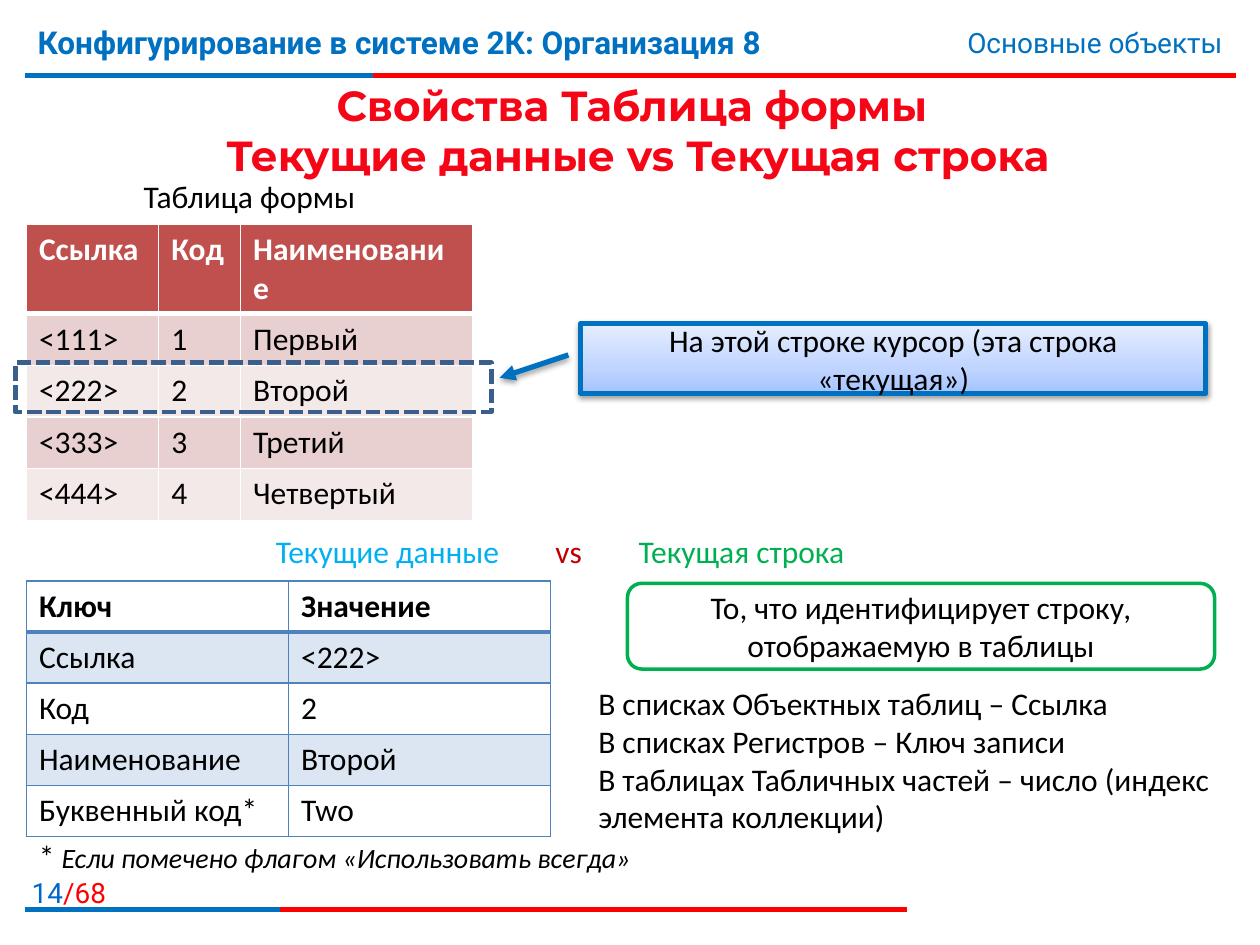
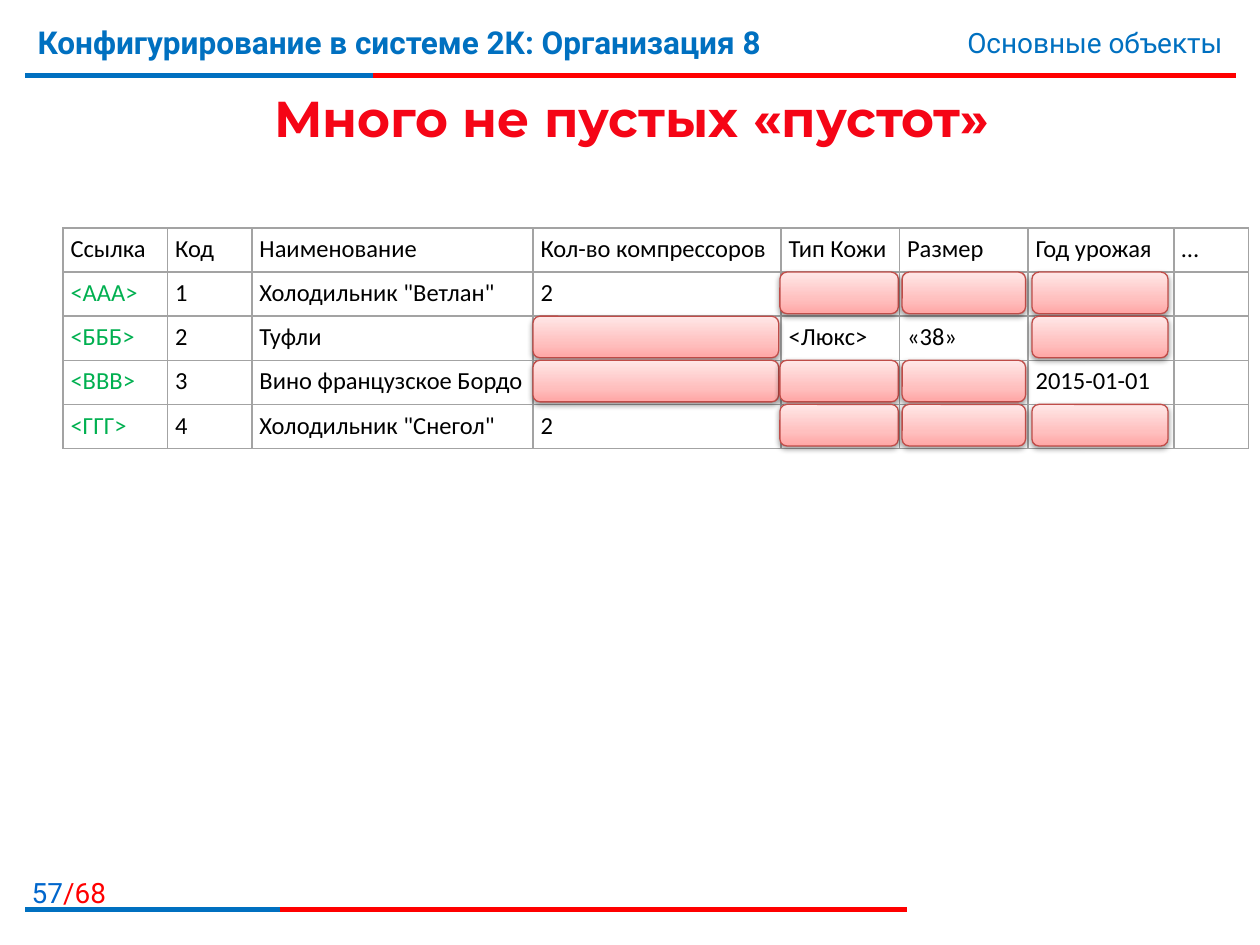
from dataclasses import dataclass
from itertools import product

from lxml.etree import SubElement
from pptx import Presentation
from pptx.dml.color import RGBColor
from pptx.enum.dml import MSO_LINE
from pptx.enum.shapes import MSO_CONNECTOR, MSO_SHAPE
from pptx.enum.text import MSO_ANCHOR as ANCHOR, PP_ALIGN as ALIGN
from pptx.oxml import parse_xml
from pptx.oxml.ns import nsdecls, qn
from pptx.util import Inches, Pt


@dataclass(frozen=True)
class Theme:
    body: str = "Calibri"
    head: str = "Montserrat"
    band: str = "Roboto"
    black: str = "000000"
    white: str = "FFFFFF"
    red: str = "FF0000"
    blue: str = "0070C0"
    number: str = "0066CC"
    title: str = "F50516"
    sky: str = "00B0F0"
    crimson: str = "C00000"
    green: str = "00B050"
    frame: str = "3A5F8C"
    grid: str = "A3A3A3"
    data_line: str = "4F81BD"
    data_band: str = "DCE6F2"
    form_head: str = "C0504D"
    form_bands: tuple = ("E8D0D0", "F4E9E9")
    callout: tuple = ((0, "A4C4FF"), (35, "BFD4FF"), (100, "E6EEFF"))
    gap: tuple = ((0, "FFA6A5"), (35, "FFC0BF"), (100, "FFE7E7"))
    gap_line: str = "BF4C48"
    text: float = 18
    small: float = 16
    cell: float = 14
    title_two_lines: float = 24
    title_one_line: float = 28.8


T = Theme()


def rgb(value):
    return RGBColor.from_string(value)


def inches(*values):
    return [Inches(v) for v in values]


def assign(obj, values):
    for name, value in values.items():
        setattr(obj, name, value)


def add_run(p, text, color=T.black, size=T.text, name=T.body, **style):
    for i, line in enumerate(text.split("\n")):
        if i:
            p.add_line_break()
        r = p.add_run()
        r.text = line
        assign(r.font, {"size": Pt(size), "name": name, **style})
        r.font.color.rgb = rgb(color)


def write(tf, paragraphs, align=ALIGN.LEFT, anchor=ANCHOR.TOP):
    assign(tf, {"word_wrap": True, "vertical_anchor": anchor})
    for i, runs in enumerate(paragraphs):
        p = tf.add_paragraph() if i else tf.paragraphs[0]
        p.alignment = align
        for text, style in runs:
            add_run(p, text, **style)


def add_text(s, box, paragraphs, **layout):
    sp = s.shapes.add_textbox(*inches(*box))
    write(sp.text_frame, paragraphs, **layout)
    return sp


def add_box(s, kind, box, line, width, fill=None):
    sp = s.shapes.add_shape(kind, *inches(*box))
    sp.shadow.inherit = False
    sp.line.color.rgb = rgb(line)
    sp.line.width = Pt(width)
    if fill:
        sp.fill.solid()
        sp.fill.fore_color.rgb = rgb(fill)
    else:
        sp.fill.background()
    return sp


def add_raised_box(s, kind, box, line, width, stops):
    sp = add_box(s, kind, box, line, width)
    pr = sp._element.spPr
    marks = "".join(
        f'<a:gs pos="{pos * 1000}"><a:srgbClr val="{color}"/></a:gs>'
        for pos, color in stops)
    pr.replace(pr.find(qn("a:noFill")), parse_xml(
        f'<a:gradFill {nsdecls("a")} rotWithShape="1"><a:gsLst>{marks}</a:gsLst>'
        '<a:lin ang="16200000" scaled="0"/></a:gradFill>'))
    pr.find(qn("a:effectLst")).append(parse_xml(
        f'<a:outerShdw {nsdecls("a")} blurRad="40000" dist="20000" dir="5400000" '
        'rotWithShape="0"><a:srgbClr val="000000"><a:alpha val="38000"/>'
        '</a:srgbClr></a:outerShdw>'))
    return sp


def add_rule(s, x, y, length, color):
    line = s.shapes.add_connector(
        MSO_CONNECTOR.STRAIGHT, *inches(x, y, x + length, y))
    line.line.color.rgb = rgb(color)
    line.line.width = Pt(3)
    SubElement(line._element.spPr, qn("a:effectLst"))


def add_two_tone_rule(s, x, y, length, blue_length):
    add_rule(s, x, y, length, T.red)
    add_rule(s, x, y, blue_length, T.blue)


def set_borders(cell, color, widths):
    pr = cell._tc.get_or_add_tcPr()
    for side, width in zip("LRTB", widths):
        ln = SubElement(pr, qn(f"a:ln{side}"), w=str(Pt(width)))
        SubElement(SubElement(ln, qn("a:solidFill")), qn("a:srgbClr"), val=color)


def add_grid(s, x, y, cols, heights, rows, line, head_line, fills, style, inset=None):
    frame = s.shapes.add_table(
        len(rows), len(cols), *inches(x, y, sum(cols), sum(heights)))
    table = frame.table
    assign(table, {"first_row": False, "horz_banding": False})
    for parts, sizes, name in ((table.columns, cols, "width"),
                               (table.rows, heights, "height")):
        for part, size in zip(parts, sizes):
            setattr(part, name, Inches(size))
    for i, j in product(range(len(rows)), range(len(cols))):
        cell = table.cell(i, j)
        if inset:
            assign(cell, {"margin_left": Inches(inset), "margin_right": Inches(inset)})
        set_borders(cell, line, (1, 1, head_line if i == 1 else 1,
                                 head_line if i == 0 else 1))
        if fills[i]:
            cell.fill.solid()
            cell.fill.fore_color.rgb = rgb(fills[i])
        else:
            cell.fill.background()
        p = cell.text_frame.paragraphs[0]
        look = style(i, j)
        if rows[i][j]:
            add_run(p, rows[i][j], **look)
        else:
            SubElement(p._p, qn("a:endParaRPr"), sz=str(look["size"] * 100))


def header(s, box):
    x, y, w, h = box
    add_two_tone_rule(s, x, y + h, w, 2.76)
    band = {"color": T.blue, "name": T.band}
    add_text(s, (x, y, 7.4, 0.62),
             [[("Конфигурирование в системе 2К: Организация 8", {**band, "bold": True})]])
    add_text(s, (x + w - 3.87, y + 0.02, 3.86, 0.37),
             [[("Основные объекты", {**band, "size": T.small})]], align=ALIGN.RIGHT)


def footer(s, box, number):
    x, y, w, h = box
    add_two_tone_rule(s, x, y + h, w, 2.02)
    band = {"size": T.small, "name": T.band}
    add_text(s, (x - 0.2, y, 0.94, h),
             [[(str(number), {**band, "color": T.number}),
               ("/68", {**band, "color": T.red})]], align=ALIGN.RIGHT)


def start_slide(prs, number, title, size, title_height):
    s = prs.slides.add_slide(prs.slide_layouts[6])
    header(s, (0.2, 0.13, 9.61, 0.47))
    footer(s, (0.2, 6.9, 7, 0.32), number)
    look = {"color": T.title, "size": size, "name": T.head, "bold": True}
    add_text(s, (0.21, 0.63, 9.61, title_height), [[(title, look)]],
             align=ALIGN.CENTER, anchor=ANCHOR.MIDDLE)
    return s


def form_table(s, box):
    x, y, w, h = box
    add_text(s, (x, y, w, 0.4), [[("Таблица формы", {})]], align=ALIGN.CENTER)
    rows = [("Ссылка", "Код", "Наименование"),
            ("<111>", "1", "Первый"),
            ("<222>", "2", "Второй"),
            ("<333>", "3", "Третий"),
            ("<444>", "4", "Четвертый")]
    add_grid(s, x, y + 0.42, [1.05, 0.65, w - 1.7], [0.71] + [0.41] * 4, rows,
             T.white, 3, [T.form_head, *T.form_bands * 2],
             lambda i, j: {"bold": i == 0, "color": T.black if i else T.white})
    cursor = add_box(s, MSO_SHAPE.RECTANGLE, (x - 0.09, y + 1.52, w + 0.24, 0.39),
                     T.frame, 2.75)
    cursor.line.dash_style = MSO_LINE.SQUARE_DOT


def cursor_callout(s, box):
    sp = add_raised_box(s, MSO_SHAPE.LINE_CALLOUT_1, box, T.blue, 3, T.callout)
    for i, value in enumerate((0.45, -0.02, 0.78, -0.13)):
        sp.adjustments[i] = value
    SubElement(sp._element.spPr.find(qn("a:ln")), qn("a:tailEnd"), type="triangle")
    write(sp.text_frame, [[("На этой строке курсор (эта строка «текущая»)", {})]],
          align=ALIGN.CENTER, anchor=ANCHOR.MIDDLE)


def versus_line(s, box):
    sp = add_text(s, box, [[("Текущие данные\t", {"color": T.sky}),
                            ("vs\t", {"color": T.crimson}),
                            ("Текущая строка", {"color": T.green})]])
    tabs = SubElement(sp.text_frame.paragraphs[0]._p.get_or_add_pPr(), qn("a:tabLst"))
    for stop in (2.22, 2.88):
        SubElement(tabs, qn("a:tab"), pos=str(Inches(stop)), algn="l")


def current_data(s, box):
    x, y, w, h = box
    rows = [("Ключ", "Значение"),
            ("Ссылка", "<222>"),
            ("Код", "2"),
            ("Наименование", "Второй"),
            ("Буквенный код*", "Two")]
    add_grid(s, x, y, [w / 2] * 2, [h / len(rows)] * len(rows), rows, T.data_line, 2,
             [None, T.data_band, None, T.data_band, None],
             lambda i, j: {"bold": i == 0})
    add_text(s, (x, y + h - 0.05, 5.4, 0.4),
             [[("* ", {}), ("Если помечено флагом «Использовать всегда»",
                            {"size": T.small, "italic": True})]])


def current_row(s, box):
    x, y, w, h = box
    sp = add_box(s, MSO_SHAPE.FLOWCHART_ALTERNATE_PROCESS, (x + 0.33, y, 4.66, 0.68),
                 T.green, 2, T.white)
    write(sp.text_frame, [[("То, что идентифицирует строку, отображаемую в таблицы", {})]],
          align=ALIGN.CENTER, anchor=ANCHOR.MIDDLE)
    lines = ("В списках Объектных таблиц – Ссылка",
             "В списках Регистров – Ключ записи",
             "В таблицах Табличных частей – число (индекс элемента коллекции)")
    add_text(s, (x, y + 0.75, w, h - 0.75), [[(line, {})] for line in lines])


def sparse_table(s, box):
    x, y, w, h = box
    key_cols = [0.83, 0.67, 2.23]
    value_cols = [1.97, 0.94, 1.02, 1.16, 0.59]
    keys = [("Ссылка", "Код", "Наименование"),
            ("<ААА>", "1", 'Холодильник "Ветлан"'),
            ("<БББ>", "2", "Туфли"),
            ("<ВВВ>", "3", "Вино французское Бордо"),
            ("<ГГГ>", "4", 'Холодильник "Снегол"')]
    values = [("Кол-во компрессоров", "Тип Кожи", "Размер", "Год урожая", "…"),
              ("2", "", "", "", ""),
              ("", "<Люкс>", "«38»", "", ""),
              ("", "", "", "2015-01-01", ""),
              ("2", "", "", "", "")]
    step = h / len(keys)
    left = x + sum(key_cols)
    shared = {"line": T.grid, "head_line": 1, "fills": [None] * 5, "inset": 0.06}
    add_grid(s, x, y, key_cols, [step] * 5, keys, **shared,
             style=lambda i, j: {"size": T.cell,
                                 "color": T.green if i and j == 0 else T.black})
    add_grid(s, left, y, value_cols, [step] * 5, values, **shared,
             style=lambda i, j: {"size": T.cell})
    gaps = ((0, 1.95), (1.96, 0.94), (2.93, 0.98), (3.96, 1.08))
    for i, row in enumerate(values):
        for value, (dx, width) in zip(row, gaps):
            if not value:
                add_raised_box(s, MSO_SHAPE.ROUNDED_RECTANGLE,
                               (left + dx, y + i * step, width, 0.33),
                               T.gap_line, 0.75, T.gap)


def current_data_slide(prs):
    s = start_slide(prs, 14, "Свойства Таблица формы\n Текущие данные vs Текущая строка",
                    T.title_two_lines, 0.8)
    form_table(s, (0.21, 1.36, 3.54, 2.76))
    versus_line(s, (2.09, 4.17, 5.51, 0.4))
    cursor_callout(s, (4.61, 2.57, 4.96, 0.55))
    current_data(s, (0.21, 4.61, 4.16, 2.03))
    current_row(s, (4.65, 4.63, 5.17, 2.07))


def empty_values_slide(prs):
    s = start_slide(prs, 57, "Много не пустых «пустот»", T.title_one_line, 0.6)
    sparse_table(s, (0.5, 1.81, 9.41, 1.75))


def main():
    prs = Presentation()
    assign(prs, {"slide_width": Inches(10), "slide_height": Inches(7.5)})
    current_data_slide(prs)
    empty_values_slide(prs)
    prs.save("out.pptx")


if __name__ == "__main__":
    main()
